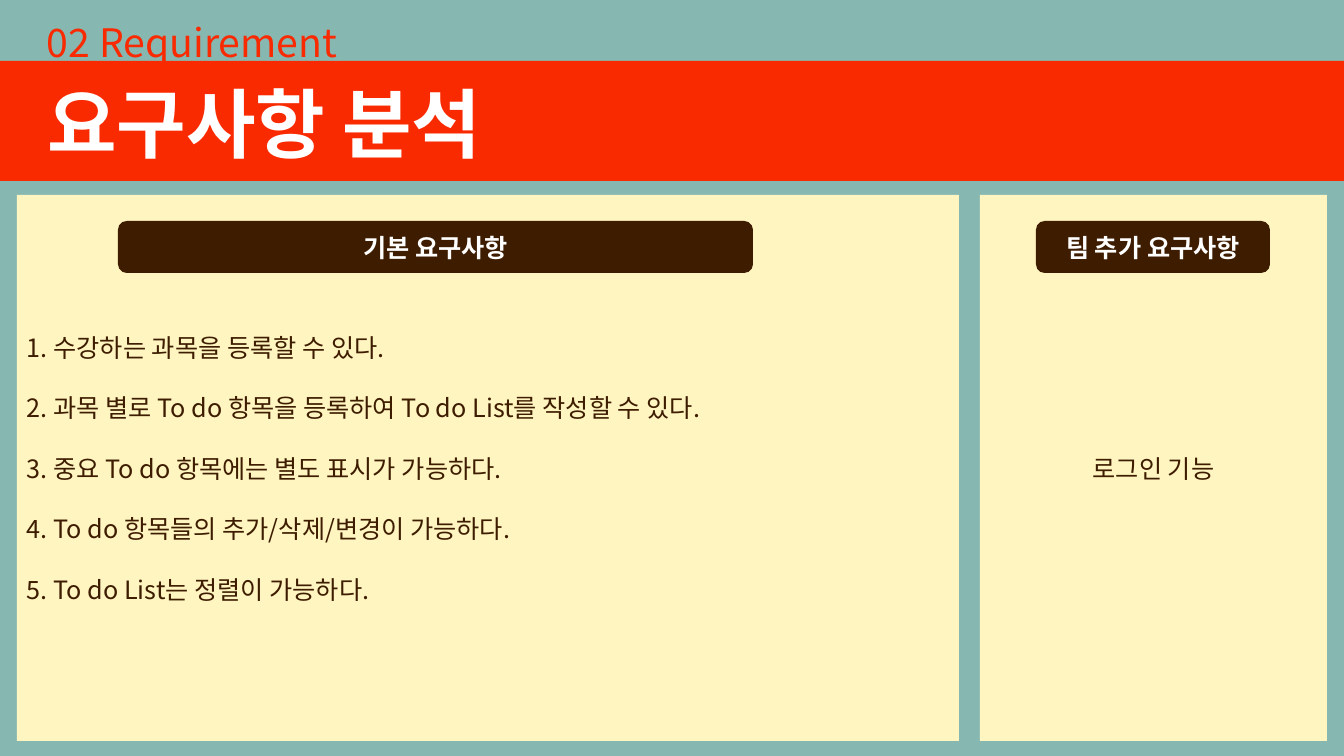
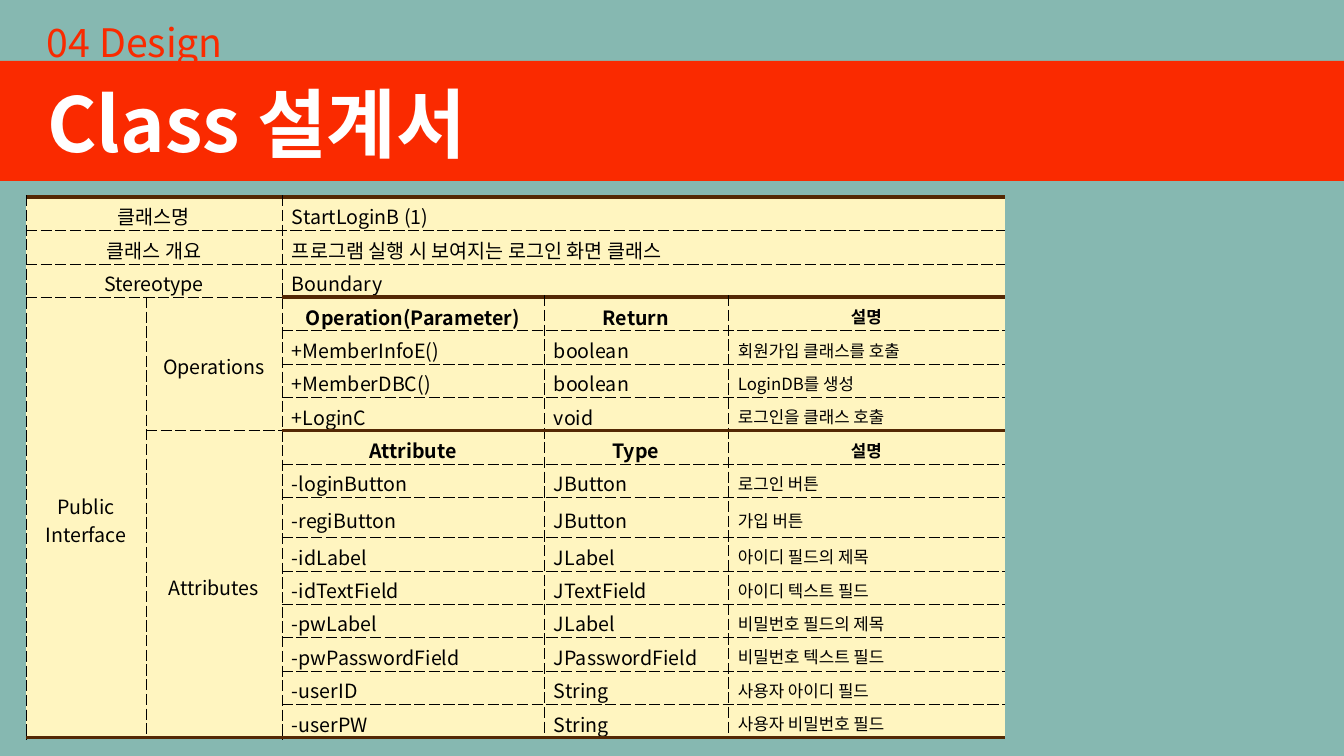
from dataclasses import dataclass

import pptx
import pptx.dml.color
import pptx.enum.shapes
import pptx.enum.text
import pptx.oxml.ns
import pptx.util
from lxml import etree

SHAPES = pptx.enum.shapes.MSO_SHAPE
ALIGN = pptx.enum.text.PP_ALIGN
ANCHOR = pptx.enum.text.MSO_ANCHOR
SLIDE_WIDTH, SLIDE_HEIGHT = 1344, 756
EMU_PER_PX = 12192000 / SLIDE_WIDTH


@dataclass(frozen=True)
class Theme:
    font: str = "Noto Sans CJK KR"
    teal: str = "86B8B1"
    red: str = "FA2A00"
    cream: str = "FFF5C0"
    brown: str = "3D1C00"
    rule: str = "542804"
    white: str = "FFFFFF"
    black: str = "000000"
    title: int = 54
    kicker: int = 28
    body: int = 18
    cell: int = 14
    note: int = 12
    paragraph_gap: float = 21.6


THEME = Theme()

REQUIREMENTS = [
    "1. 수강하는 과목을 등록할 수 있다.",
    "2. 과목 별로 To do 항목을 등록하여 To do List를 작성할 수 있다.",
    "3. 중요 To do 항목에는 별도 표시가 가능하다.",
    "4. To do 항목들의 추가/삭제/변경이 가능하다.",
    "5. To do List는 정렬이 가능하다.",
]

SUMMARY = [
    ("클래스명", "StartLoginB (1)"),
    ("클래스 개요", "프로그램 실행 시 보여지는 로그인 화면 클래스"),
    ("Stereotype", "Boundary"),
]
OPERATIONS = [
    ("Operation(Parameter)", "Return", "설명"),
    ("+MemberInfoE()", "boolean", "회원가입 클래스를 호출"),
    ("+MemberDBC()", "boolean", "LoginDB를 생성"),
    ("+LoginC", "void", "로그인을 클래스 호출"),
]
ATTRIBUTES = [
    ("Attribute", "Type", "설명"),
    ("-loginButton", "JButton", "로그인 버튼"),
    ("-regiButton", "JButton", "가입 버튼"),
    ("-idLabel", "JLabel", "아이디 필드의 제목"),
    ("-idTextField", "JTextField", "아이디 텍스트 필드"),
    ("-pwLabel", "JLabel", "비밀번호 필드의 제목"),
    ("-pwPasswordField", "JPasswordField", "비밀번호 텍스트 필드"),
    ("-userID", "String", "사용자 아이디 필드"),
    ("-userPW", "String", "사용자 비밀번호 필드"),
]
COLUMN_WIDTHS = [120, 136, 262, 184, 277]
TABLE_HEIGHT, TALL_ROW_HEIGHT = 541, 40


def px(length):
    return pptx.util.Emu(round(length * EMU_PER_PX))


def rgb(color):
    return pptx.dml.color.RGBColor.from_string(color)


def write(frame, lines, size, color, bold=False, align=ALIGN.LEFT, gap=0):
    """Fill a text frame with one paragraph per line, gap points apart."""
    for index, line in enumerate(lines):
        para = frame.add_paragraph() if index else frame.paragraphs[0]
        para.text = line
        para.alignment = align
        para.space_before = pptx.util.Pt(gap if index else 0)
        for span in para.runs:
            span.font.size = pptx.util.Pt(size)
            span.font.bold = bold
            span.font.color.rgb = rgb(color)
            span.font.name = THEME.font
            east_asian = etree.SubElement(span._r.get_or_add_rPr(), pptx.oxml.ns.qn("a:ea"))
            east_asian.set("typeface", THEME.font)


def add_block(page, kind, box, color):
    block = page.shapes.add_shape(kind, *map(px, box))
    block.shadow.inherit = False
    block.fill.solid()
    block.fill.fore_color.rgb = rgb(color)
    block.line.fill.background()
    block.text_frame.vertical_anchor = ANCHOR.MIDDLE
    return block


def set_heading(shape, box, text, size, color, bold):
    """Place a one-line heading whose box grows with its text."""
    shape.left, shape.top, shape.width, shape.height = map(px, box)
    frame = shape.text_frame
    frame.word_wrap = False
    frame.auto_size = pptx.enum.text.MSO_AUTO_SIZE.SHAPE_TO_FIT_TEXT
    frame.vertical_anchor = ANCHOR.TOP
    write(frame, [text], size, color, bold)


def style_layout(layout, page):
    """Give the layout its background and red band, drawn on page and moved over."""
    layout.background.fill.solid()
    layout.background.fill.fore_color.rgb = rgb(THEME.teal)
    band = add_block(page, SHAPES.RECTANGLE, (0, 61, SLIDE_WIDTH, 120), THEME.red)
    band.element.nvSpPr.cNvPr.id = 20
    layout.shapes.element.insert(2, band.element)


def add_header(page, kicker, kicker_width, title, title_width):
    kicker_box = (37, 13, kicker_width, 57)
    set_heading(page.shapes.add_textbox(*map(px, kicker_box)), kicker_box,
                kicker, THEME.kicker, THEME.red, False)
    set_heading(page.shapes.title, (37, 72, title_width, 102),
                title, THEME.title, THEME.white, True)


def add_panel(page, box, lines, align, label, label_inset, label_width):
    """Draw a cream panel with its text and a dark label near its top."""
    left, top = box[:2]
    panel = add_block(page, SHAPES.RECTANGLE, box, THEME.cream)
    panel.text_frame.word_wrap = True
    write(panel.text_frame, lines, THEME.body, THEME.brown, align=align,
          gap=THEME.paragraph_gap)
    label_box = (left + label_inset, top + 26, label_width, 52)
    tab = add_block(page, SHAPES.ROUNDED_RECTANGLE, label_box, THEME.brown)
    write(tab.text_frame, [label], THEME.body, THEME.white, True, ALIGN.CENTER)


def add_border(cell, side, style):
    """Draw one side of a cell; style is (colour, points, dash), or None for no line."""
    line = etree.SubElement(cell._tc.get_or_add_tcPr(), pptx.oxml.ns.qn(f"a:ln{side}"))
    if style is None:
        etree.SubElement(line, pptx.oxml.ns.qn("a:noFill"))
        return
    color, points, dash = style
    line.set("w", str(pptx.util.Pt(points)))
    fill = etree.SubElement(line, pptx.oxml.ns.qn("a:solidFill"))
    etree.SubElement(fill, pptx.oxml.ns.qn("a:srgbClr")).set("val", color)
    etree.SubElement(line, pptx.oxml.ns.qn("a:prstDash")).set("val", dash)


def add_class_table(page, left, top):
    operations_row = len(SUMMARY)
    attributes_row = operations_row + len(OPERATIONS)
    row_count = attributes_row + len(ATTRIBUTES)
    column_count = len(COLUMN_WIDTHS)
    section_rows = (operations_row, attributes_row)
    heights = [(TABLE_HEIGHT - TALL_ROW_HEIGHT) / (row_count - 1)] * row_count
    heights[attributes_row + 2] = TALL_ROW_HEIGHT

    table = page.shapes.add_table(row_count, column_count, px(left), px(top),
                                  px(sum(COLUMN_WIDTHS)), px(TABLE_HEIGHT)).table
    table.first_row = table.horz_banding = False
    for column, width in zip(table.columns, COLUMN_WIDTHS):
        column.width = px(width)
    for row, height in zip(table.rows, heights):
        row.height = px(height)

    texts = {(operations_row, 0): ["Public", "Interface"],
             (operations_row, 1): ["Operations"],
             (attributes_row, 1): ["Attributes"]}
    merges = [((operations_row, 0), (row_count - 1, 0)),
              ((operations_row, 1), (attributes_row - 1, 1)),
              ((attributes_row, 1), (row_count - 1, 1))]
    for r, (name, value) in enumerate(SUMMARY):
        texts[r, 0], texts[r, 2] = [name], [value]
        merges += [((r, 0), (r, 1)), ((r, 2), (r, column_count - 1))]
    for r, values in enumerate(OPERATIONS + ATTRIBUTES, operations_row):
        for c, value in enumerate(values, 2):
            texts[r, c] = [value]
    for first, last in merges:
        table.cell(*first).merge(table.cell(*last))

    dashed = (THEME.black, 0.25, "lgDash")
    thick = (THEME.rule, 3, "solid")

    def rule_above(r, c):
        heavy = r in (0, row_count) or (r in section_rows and c >= 2)
        return thick if heavy else dashed

    for (r, c), lines in texts.items():
        cell = table.cell(r, c)
        at_right_edge = c + cell.span_width == column_count
        add_border(cell, "L", dashed)
        add_border(cell, "R", None if at_right_edge else dashed)
        add_border(cell, "T", rule_above(r, c))
        add_border(cell, "B", rule_above(r + cell.span_height, c))
        cell.fill.solid()
        cell.fill.fore_color.rgb = rgb(THEME.cream)
        cell.vertical_anchor = ANCHOR.MIDDLE
        cell.margin_bottom = 0
        is_heading = r in section_rows and c >= 2
        write(cell.text_frame, lines, THEME.note if c == 4 else THEME.cell, THEME.black,
              is_heading, ALIGN.CENTER if c < 2 or is_heading else ALIGN.LEFT)


def build_requirements(page):
    add_header(page, "02 Requirement", 320, "요구사항 분석", 505)
    add_panel(page, (17, 195, 942, 546), REQUIREMENTS, ALIGN.LEFT, "기본 요구사항", 101, 635)
    add_panel(page, (980, 195, 347, 546), ["로그인 기능"], ALIGN.CENTER,
              "팀 추가 요구사항", 56, 234)


def build_class_design(page):
    add_header(page, "04 Design", 202, "Class 설계서", 459)
    add_class_table(page, 26, 197)


def main():
    deck = pptx.Presentation()
    deck.slide_width, deck.slide_height = px(SLIDE_WIDTH), px(SLIDE_HEIGHT)
    layout = deck.slide_layouts.get_by_name("Title Only")
    pages = [deck.slides.add_slide(layout) for _ in range(2)]
    style_layout(layout, pages[0])
    for build, page in zip((build_requirements, build_class_design), pages):
        build(page)
    deck.save("out.pptx")


if __name__ == "__main__":
    main()
